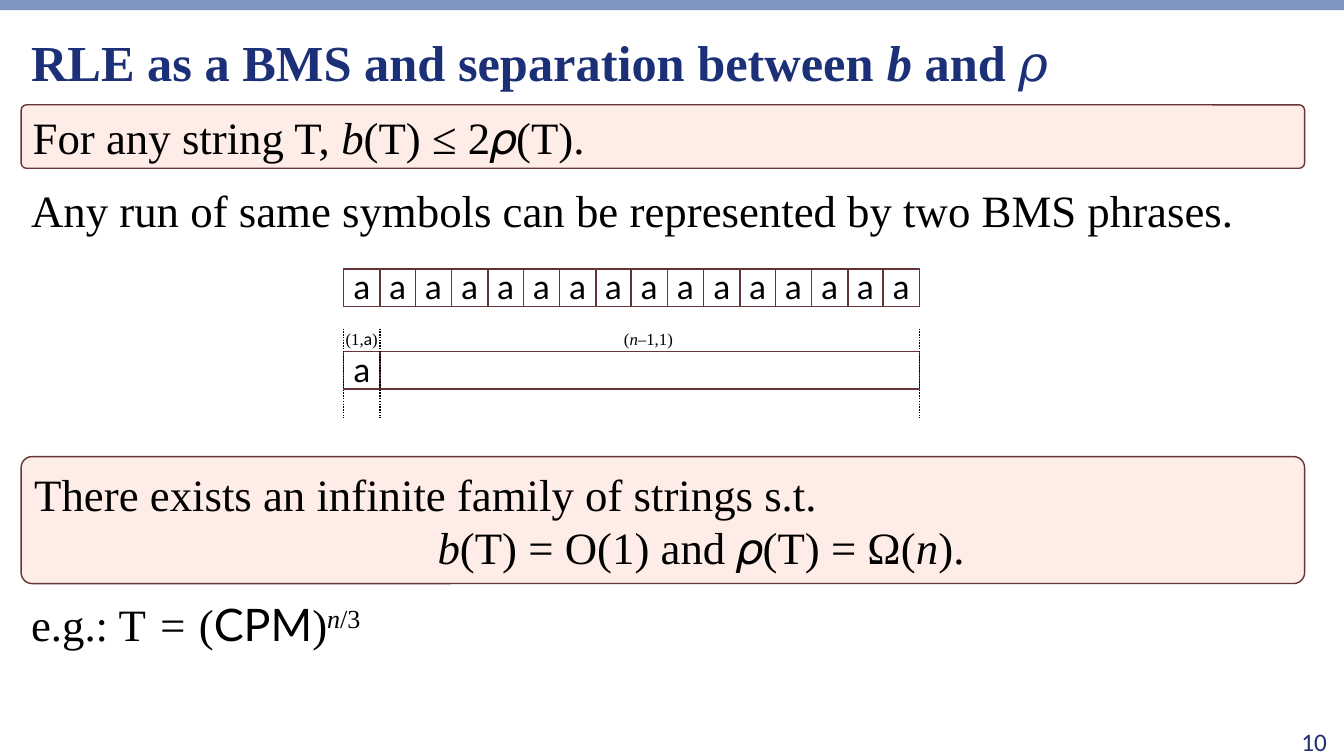
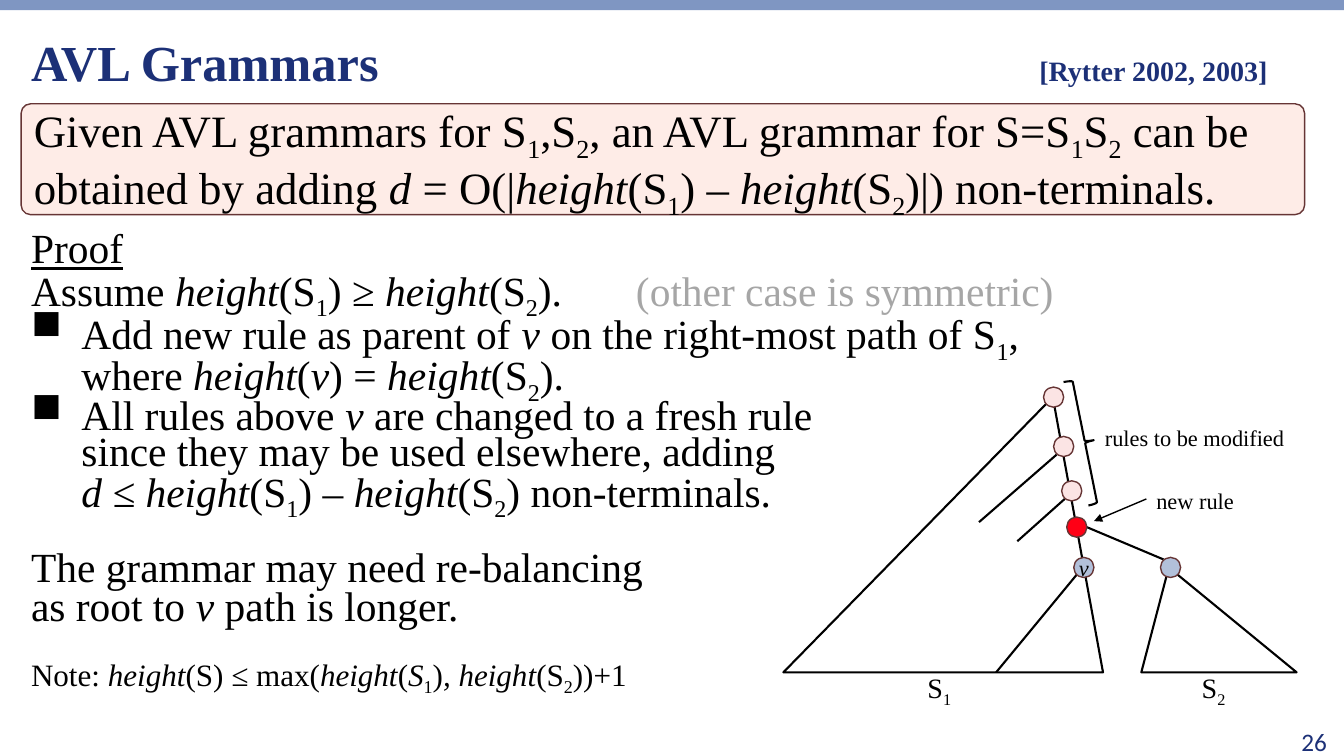
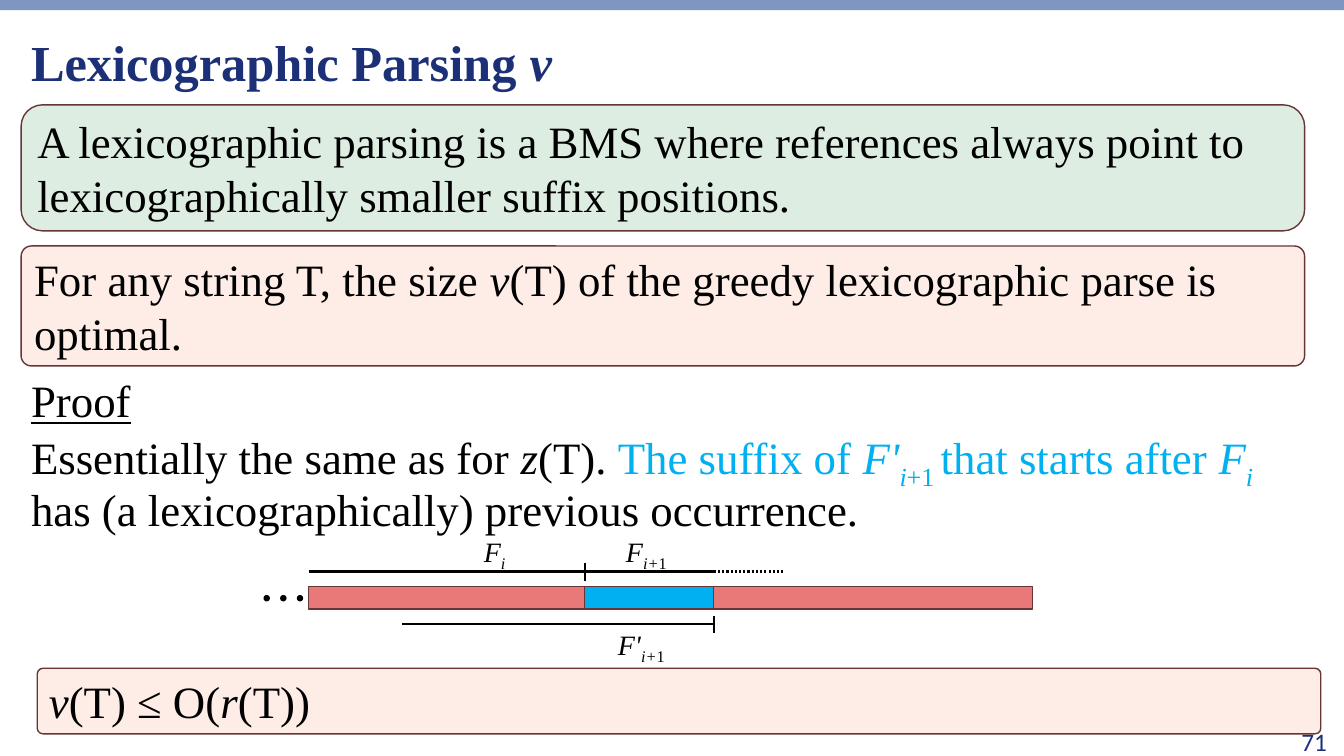
import pptx
import pptx.dml.color
import pptx.enum.dml
import pptx.enum.shapes
import pptx.enum.text
import pptx.oxml.ns
import pptx.util
from lxml import etree

SHAPE = pptx.enum.shapes.MSO_SHAPE
ALIGN = pptx.enum.text.PP_ALIGN
ANCHOR = pptx.enum.text.MSO_ANCHOR
EMU_PER_PX = 9144

THEME = {
    "serif": "Times New Roman", "sans": "Calibri", "code": "Lato",
    "navy": "1C3077", "band": "7F96C2", "ink": "000000", "edge": "663535",
    "claim": "FEECE7", "definition": "DEEDE2", "muted": "A6A6A6", "accent": "00B0F0",
    "paper": "FFFFFF", "node": "FBE4E4", "new_node": "FF0015", "subtree_node": "B2C0DA",
    "text_bar": "E97979",
    "title": 36, "body": 32, "proof": 29.6, "cell": 24, "note": 22.2,
    "name": 20, "page": 18, "small": 16, "tiny": 12,
}

MARKS = {
    "*": {"italic": True}, "$": {"underline": True},
    "_": {"baseline": -25000}, "^": {"baseline": 30000},
    "~": {"font": "code"}, "#": {"font": "sans"},
    "@": {"color": "muted"}, "%": {"color": "accent"}, "&": {"size": "name"},
}

BODY = {"line_spacing": 0.93, "space_after": 1.5}
PROOF = {"line_spacing": 0.73, "space_after": 1.5}
LABEL = {"line_spacing": 1.1}
CALLOUT_X, CALLOUT_W = 21, 1273
TEXT_W = 1276

RUN = {
    "title": "RLE as a BMS and separation between *b *and 𝜌", "page": "10",
    "claims": [
        (104, 63, ["For any string T, *b*(T) ≤ 2#𝜌#(T)."], {}),
        (453, 126, ["There exists an infinite family of strings s.t.\n"
                    "\t*b*(T) = O(1) and #𝜌#(T) = Ω(*n*)."], {"tab": 400}),
    ],
    "texts": [
        (181, 266, "Any run of same symbols can be represented by two BMS phrases."),
        (592, 85, "e.g.: T* = *(~CPM~)^*n*/3^"),
    ],
    "x": 341, "w": 571, "symbols": "a" * 16, "rows": (267, 349), "cell_h": 37,
    "guides": (326, 415),
    "labels": [(333, 319, 53, 31, "(1,~a~)"), (609, 319, 69, 31, "(*n*–1,1)")],
}

AVL = {
    "title": "AVL Grammars\t&[Rytter 2002, 2003]&", "page": "26",
    "claim": (103, 110, ["Given AVL grammars for S_1_,S_2_, an AVL grammar for S=S_1_S_2_ can be "
                         "obtained by adding *d* = O(|*height*(S_1_) – *height*(S_2_)|) non-terminals."], BODY),
    "proof": [
        ("$Proof$", {}),
        ("Assume *height*(S_1_) ≥ *height*(S_2_). \t@(other case is symmetric)@", {"tab": 600}),
        ("Add new rule as parent of *v *on the right-most path of S_1_, \n"
         "where *height*(*v*) = *height*(S_2_).", {"bullet": "■"}),
        ("All rules above *v* are changed to a fresh rule \n"
         "since they may be used elsewhere, adding\n"
         "*d ≤ height*(S_1_) – *height*(S_2_) non-terminals.", {"bullet": "■"}),
        ("The grammar may need re-balancing", {"space_before": 26}),
        ("as root to *v *path is longer.", {}),
        ("Note: *height*(S)* ≤ *max(*height*(*S*_1_)*, height*(S_2_))+1",
         {"size": "note", "space_before": 22}),
    ],
    "subtrees": [(777, 394, 317, 273, 0.843), (1132, 563, 154, 104, 0.177)],
    "branches": [(1048, 451, 971, 518), (1056, 495, 1009, 537),
                 (1068, 570, 988, 667), (1078, 523, 1154, 555)],
    "nodes": [(1035, 384, "node", ""), (1045, 433, "node", ""), (1053, 477, "node", ""),
              (1065, 553, "subtree_node", "*v*"), (1058, 513, "new_node", ""),
              (1151, 553, "subtree_node", "")],
    "node_size": 20,
    "brace": (1067, 376, 18, 125), "brace_turn": 348.6,
    "pointer": (1137, 495, 1085, 517),
    "labels": [(1086, 413, 208, 38, "rules to be modified"), (1137, 476, 98, 38, "new rule")],
    "names": [(910, 660, 45, 44, "S_1_"), (1182, 660, 45, 44, "S_2_")],
}

LEX = {
    "title": "Lexicographic Parsing *v*", "page": "71",
    "definition": (104, 125, ["A lexicographic parsing is a BMS where references always point to "
                              "lexicographically smaller suffix positions."]),
    "claims": [
        (21, 244, 119, ["For any string T, the size *v*(T) of the greedy lexicographic parse is optimal."]),
        (37, 663, 65, ["*v*(T) ≤ O(*r*(T))"]),
    ],
    "proof": ["$Proof$",
              "Essentially the same as for *z*(T). %The suffix of *F'_i_*_+1 _that starts after *F_i _*%"
              "has (a lexicographically) previous occurrence."],
    "bars": [(306, 582, 718, 22, "text_bar"), (580, 582, 128, 22, "accent")],
    "dots": (262, 591, 5, 3, 16.5),
    "lines": [(306, 567, 708, 567), (580, 559, 580, 576),
              (399, 619, 708, 619), (708, 611, 708, 628)],
    "continuation": (708, 567, 777, 567),
    "names": [(470, 525, 43, 44, "*F_i_*"), (611, 525, 65, 44, "*F_i+_*_1_"),
              (603, 618, 71, 44, "*F'_i+_*_1_")],
}


def px(v):
    return pptx.util.Emu(round(v * EMU_PER_PX))


def rgb(name):
    return pptx.dml.color.RGBColor.from_string(THEME[name])


def sub(parent, tag, **attrs):
    return etree.SubElement(parent, pptx.oxml.ns.qn(tag), attrs)


def add_run(p, text, style):
    r = p.add_run()
    r.text = text
    values = {"name": THEME[style["font"]], "size": pptx.util.Pt(THEME[style["size"]]),
              "bold": style.get("bold"), "italic": style.get("italic"),
              "underline": style.get("underline")}
    for key, value in values.items():
        setattr(r.font, key, value)
    r.font.color.rgb = rgb(style["color"])
    if "baseline" in style:
        r._r.get_or_add_rPr().set("baseline", str(style["baseline"]))


def write_marked(p, text, base):
    active, buffer = [], ""

    def flush():
        style = dict(base)
        for mark in active:
            style.update(MARKS[mark])
        if buffer:
            add_run(p, buffer, style)

    for ch in text:
        if ch not in MARKS and ch != "\n":
            buffer += ch
            continue
        flush()
        buffer = ""
        if ch == "\n":
            p.add_line_break()
        elif ch in active:
            active.remove(ch)
        else:
            active.append(ch)
    flush()


def format_paragraph(p, fmt):
    p.alignment = fmt.get("align", ALIGN.LEFT)
    if "line_spacing" in fmt:
        p.line_spacing = fmt["line_spacing"]
    for key in ("space_before", "space_after"):
        setattr(p, key, pptx.util.Pt(fmt.get(key, 0)))
    pPr = p._p.get_or_add_pPr()
    if "bullet" in fmt:
        pPr.set("marL", str(px(50)))
        pPr.set("indent", str(-px(50)))
        sub(pPr, "a:buChar", char=fmt["bullet"])
    if "tab" in fmt:
        sub(sub(pPr, "a:tabLst"), "a:tab", pos=str(px(fmt["tab"])), algn="l")


def write(sp, paragraphs, size, fmt=None, wrap=True, anchor=ANCHOR.TOP, margins=(10, 5, 10, 5), **style):
    tf = sp.text_frame
    sides = ("margin_left", "margin_top", "margin_right", "margin_bottom")
    values = {"word_wrap": wrap, "vertical_anchor": anchor, **dict(zip(sides, map(px, margins)))}
    for key, value in values.items():
        setattr(tf, key, value)
    for i, item in enumerate(paragraphs):
        text, own = item if isinstance(item, tuple) else (item, {})
        merged = {**(fmt or {}), **own}
        p = tf.paragraphs[0] if i == 0 else tf.add_paragraph()
        format_paragraph(p, merged)
        base = {"font": "serif", "color": "ink", "size": merged.get("size", size), **style}
        write_marked(p, text, base)


def text_box(s, x, y, w, h, paragraphs, size, fmt=None, **options):
    sp = s.shapes.add_textbox(*map(px, (x, y, w, h)))
    write(sp, paragraphs, size, fmt, **options)


def labels(s, items, size, fmt=None):
    for x, y, w, h, text in items:
        text_box(s, x, y, w, h, [text], size, fmt, wrap=False)


def shape(s, kind, x, y, w, h, fill=None, line="edge", width=1, adj=None):
    sp = s.shapes.add_shape(kind, *map(px, (x, y, w, h)))
    sp.shadow.inherit = False
    if fill:
        sp.fill.solid()
        sp.fill.fore_color.rgb = rgb(fill)
    else:
        sp.fill.background()
    if line:
        sp.line.color.rgb = rgb(line)
        sp.line.width = pptx.util.Pt(width)
    else:
        sp.line.fill.background()
    if adj is not None:
        sp.adjustments[0] = adj
    return sp


def line(s, x1, y1, x2, y2, width=1.5, dotted=False, arrow=False):
    c = s.shapes.add_connector(pptx.enum.shapes.MSO_CONNECTOR.STRAIGHT, *map(px, (x1, y1, x2, y2)))
    c.line.color.rgb = rgb("ink")
    c.line.width = pptx.util.Pt(width)
    if dotted:
        c.line.dash_style = pptx.enum.dml.MSO_LINE.ROUND_DOT
    if arrow:
        sub(c.line._get_or_add_ln(), "a:tailEnd", type="triangle")
    sub(c._element.spPr, "a:effectLst")


def callout(s, y, h, paragraphs, fmt=None, x=CALLOUT_X, fill="claim", adj=0.086):
    sp = shape(s, SHAPE.ROUNDED_RECTANGLE, x, y, CALLOUT_W, h, fill, adj=adj)
    write(sp, paragraphs, "body", fmt, anchor=ANCHOR.MIDDLE)


def base_slide(prs, content):
    s = prs.slides.add_slide(prs.slide_layouts[6])
    shape(s, SHAPE.RECTANGLE, 0, 0, 1333, 10, "band", None)
    text_box(s, 21, 33, TEXT_W, 56, [content["title"]], "title",
             {"line_spacing": 0.9, "tab": 1000}, color="navy", bold=True)
    text_box(s, 1255, 722, 71, 27, [content["page"]], "page", {"align": ALIGN.RIGHT},
             anchor=ANCHOR.MIDDLE, font="sans", color="navy")
    return s


def cell(s, left, right, y, text=""):
    sp = shape(s, SHAPE.RECTANGLE, left, y, right - left, RUN["cell_h"])
    if text:
        write(sp, [text], "cell", {"align": ALIGN.CENTER}, anchor=ANCHOR.MIDDLE,
              margins=(0, 5, 0, 8), font="code")


def run_slide(prs):
    s = base_slide(prs, RUN)
    for y, h, text in RUN["texts"]:
        text_box(s, 21, y, TEXT_W, h, [text], "body", BODY)
    for y, h, paragraphs, fmt in RUN["claims"]:
        callout(s, y, h, paragraphs, fmt)
    count = len(RUN["symbols"])
    edges = [round(RUN["x"] + RUN["w"] * i / count) for i in range(count + 1)]
    top, bottom = RUN["rows"]
    for left, right, symbol in zip(edges, edges[1:], RUN["symbols"]):
        cell(s, left, right, top, symbol)
    cell(s, edges[0], edges[1], bottom, RUN["symbols"][0])
    cell(s, edges[1], edges[-1], bottom)
    y1, y2 = RUN["guides"]
    for x in (edges[0], edges[1], edges[-1]):
        line(s, x, y1, x, y2, 1, dotted=True)
    labels(s, RUN["labels"], "tiny", LABEL)


def avl_slide(prs):
    s = base_slide(prs, AVL)
    text_box(s, 21, 228, TEXT_W, 489, AVL["proof"], "proof", PROOF)
    for x, y, w, h, apex in AVL["subtrees"]:
        shape(s, SHAPE.ISOSCELES_TRIANGLE, x, y, w, h, "paper", "ink", 1.5, apex)
    for ends in AVL["branches"]:
        line(s, *ends)
    size = AVL["node_size"]
    for x, y, fill, text in AVL["nodes"]:
        sp = shape(s, SHAPE.OVAL, x, y, size, size, fill)
        if text:
            write(sp, [text], "small", {"align": ALIGN.CENTER}, wrap=False,
                  anchor=ANCHOR.MIDDLE, margins=(0, 0, 0, 0))
    brace = shape(s, SHAPE.RIGHT_BRACE, *AVL["brace"], line="ink", width=1.5)
    brace.rotation = AVL["brace_turn"]
    labels(s, AVL["labels"], "small", LABEL)
    labels(s, AVL["names"], "name")
    line(s, *AVL["pointer"], width=1, arrow=True)
    callout(s, *AVL["claim"])


def lex_slide(prs):
    s = base_slide(prs, LEX)
    text_box(s, 21, 370, TEXT_W, 332, LEX["proof"], "body", BODY)
    callout(s, *LEX["definition"], fill="definition", adj=0.17)
    for x, y, h, paragraphs in LEX["claims"]:
        callout(s, y, h, paragraphs, x=x)
    for x, y, w, h, fill in LEX["bars"]:
        shape(s, SHAPE.RECTANGLE, x, y, w, h, fill)
    x, y, size, count, pitch = LEX["dots"]
    for i in range(count):
        shape(s, SHAPE.OVAL, x + i * pitch, y, size, size, "ink", "ink")
    for ends in LEX["lines"]:
        line(s, *ends)
    line(s, *LEX["continuation"], dotted=True)
    labels(s, LEX["names"], "name")


def main():
    prs = pptx.Presentation()
    prs.slide_width, prs.slide_height = px(1333), px(750)
    for build in (run_slide, avl_slide, lex_slide):
        build(prs)
    prs.save("out.pptx")


if __name__ == "__main__":
    main()
